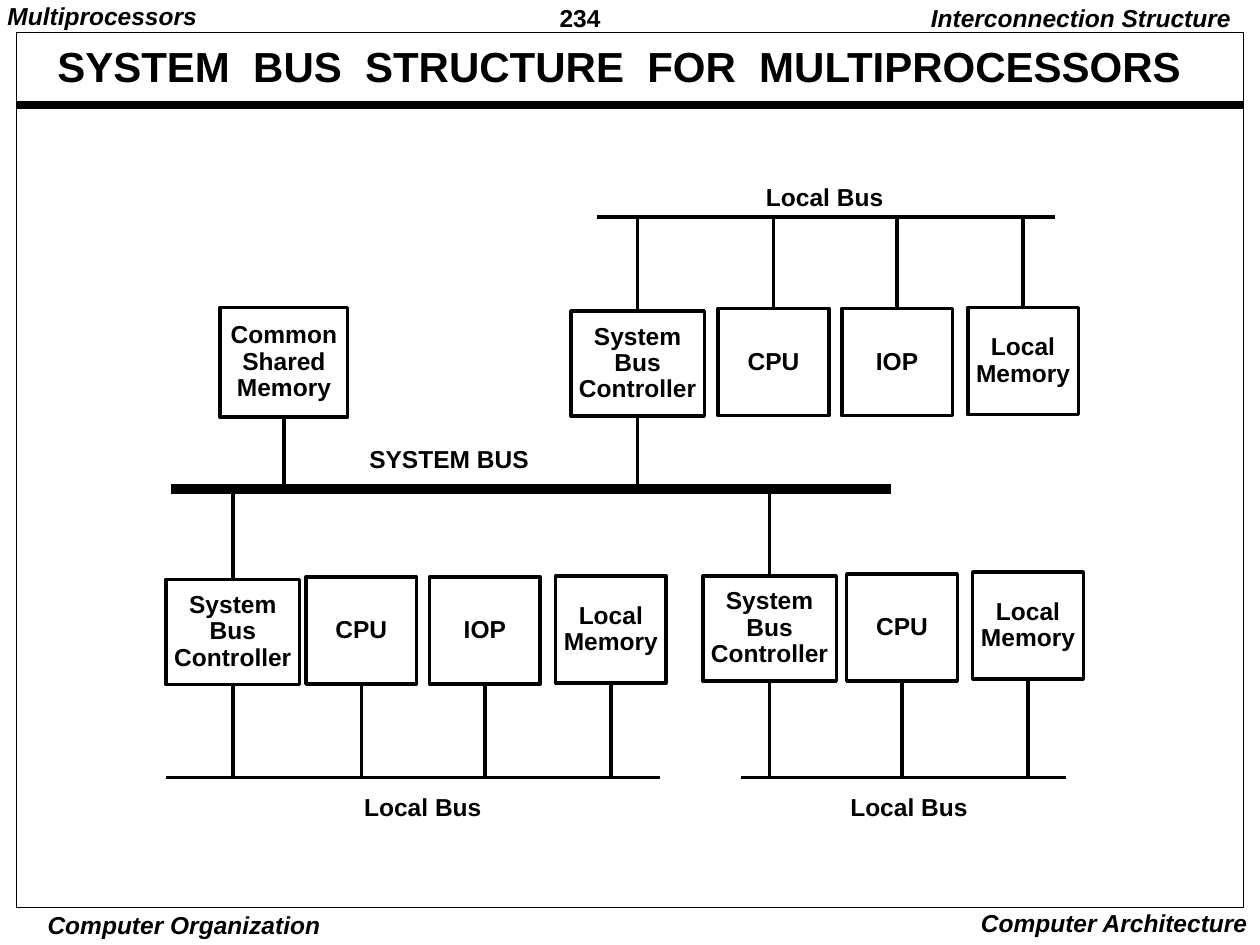
from dataclasses import dataclass

from pptx import Presentation
from pptx.dml.color import RGBColor
from pptx.enum.shapes import MSO_CONNECTOR, MSO_SHAPE
from pptx.enum.text import MSO_ANCHOR, PP_ALIGN
from pptx.oxml.ns import qn
from pptx.util import Cm, Pt

LEFT, MID, RIGHT = PP_ALIGN.LEFT, PP_ALIGN.CENTER, PP_ALIGN.RIGHT
MIDDLE = MSO_ANCHOR.MIDDLE
RECT = MSO_SHAPE.RECTANGLE
LINE = MSO_CONNECTOR.STRAIGHT
TOP, BOTTOM = 0, 2


@dataclass(frozen=True)
class Theme:
    font: str = "Arial"
    ink: RGBColor = RGBColor(0, 0, 0)
    title: float = 24
    text: float = 14
    thin: float = 0.5
    wire: float = 2
    rule: float = 4.5
    bus: float = 6
    lead: float = 0.9


THEME = Theme()
PAD = {LEFT: 0.18, MID: 0, RIGHT: 0.25}

TITLE = "SYSTEM  BUS  STRUCTURE  FOR  MULTIPROCESSORS"
MARGINS = [
    ("Multiprocessors", -0.03, 0, 4.4, 0.69, LEFT, True),
    ("234", 11.1, 0, 2.74, 0.79, LEFT, False),
    ("Interconnection Structure", 18.07, 0, 7, 0.79, RIGHT, True),
    ("Computer Organization", 0.79, 18.34, 5.84, 0.66, MID, True),
    ("Computer Architecture", 19.4, 18.21, 6, 0.84, RIGHT, True),
]
LABELS = [
    ("Local Bus", 15.19, 3.61, 2.87),
    ("SYSTEM BUS", 7.19, 8.89, 3.73),
    ("Local Bus", 7.09, 15.9, 2.87),
    ("Local Bus", 16.89, 15.9, 2.87),
]

SHARED = "Common\nShared\nMemory"
CONTROL = "System\nBus\nController"
LOCAL = "Local\nMemory"
SIZES = {
    SHARED: (2.57, 2.21),
    CONTROL: (2.69, 2.12),
    "CPU": (2.23, 2.16),
    "IOP": (2.23, 2.16),
    LOCAL: (2.23, 2.16),
}

SYSTEM = (3.45, 17.96, 9.86)
GROUPS = [
    {
        "bus": (12.04, 21.26, 4.37),
        "side": TOP,
        "units": [(CONTROL, 11.51, 6.27), ("CPU", 14.48, 6.22),
                  ("IOP", 16.97, 6.22), (LOCAL, 19.51, 6.2)],
    },
    {
        "bus": (3.35, 13.31, 15.67),
        "side": BOTTOM,
        "units": [(CONTROL, 3.35, 11.68), ("CPU", 6.17, 11.63),
                  ("IOP", 8.66, 11.63), (LOCAL, 11.2, 11.61)],
    },
    {
        "bus": (14.94, 21.49, 15.67),
        "side": BOTTOM,
        "units": [(CONTROL, 14.17, 11.61), ("CPU", 17.07, 11.57),
                  (LOCAL, 19.61, 11.53)],
    },
]


def write(shape, text, size=THEME.text, align=MID, slant=False, wrap=False):
    frame = shape.text_frame
    frame.text = text
    frame.word_wrap = wrap
    frame.vertical_anchor = MIDDLE
    frame.margin_left = frame.margin_right = Cm(PAD[align])
    frame.margin_top = frame.margin_bottom = 0
    for para in frame.paragraphs:
        para.alignment = align
        para.line_spacing = THEME.lead
        para.space_before = Pt(0)
        font = para.font
        font.name, font.size = THEME.font, Pt(size)
        font.bold, font.italic = True, slant
        font.color.rgb = THEME.ink


def label(slide, text, x, y, w, h=0.79, align=MID, slant=False):
    box = slide.shapes.add_textbox(Cm(x), Cm(y), Cm(w), Cm(h))
    write(box, text, align=align, slant=slant)


def block(slide, x, y, w, h, width):
    box = slide.shapes.add_shape(RECT, Cm(x), Cm(y), Cm(w), Cm(h))
    box.shadow.inherit = False
    box.fill.background()
    box.line.color.rgb = THEME.ink
    box.line.width = Pt(width)
    return box


def unit(slide, text, x, y):
    box = block(slide, x, y, *SIZES[text], THEME.wire)
    write(box, text)
    return box


def stroke(slide, x1, y1, x2, y2, width):
    line = slide.shapes.add_connector(LINE, x1, y1, x2, y2)
    line.line.color.rgb = THEME.ink
    line.line.width = Pt(width)
    props = line._element.spPr
    props.append(props.makeelement(qn("a:effectLst"), {}))
    return line


def bus(slide, start, end, y, width):
    stroke(slide, Cm(start), Cm(y), Cm(end), Cm(y), width)


def tap(slide, box, side, y):
    x = box.left + box.width // 2
    edge = box.top if side == TOP else box.top + box.height
    line = stroke(slide, x, edge, x, Cm(y), THEME.wire)
    line.begin_connect(box, side)


def main():
    deck = Presentation()
    deck.slide_width, deck.slide_height = Cm(25.4), Cm(19.05)
    slide = deck.slides.add_slide(deck.slide_layouts[5])

    head = slide.shapes.title
    head.left, head.top, head.width, head.height = Cm(0), Cm(0.48), Cm(24.97), Cm(1.8)
    write(head, TITLE, THEME.title, wrap=True)

    block(slide, 0.33, 0.66, 24.74, 17.63, THEME.thin)
    bus(slide, 0.33, 25.07, 2.11, THEME.rule)
    for item in MARGINS + LABELS:
        label(slide, *item)

    bus(slide, *SYSTEM, THEME.bus)
    tap(slide, unit(slide, SHARED, 4.44, 6.2), BOTTOM, SYSTEM[2])
    for group in GROUPS:
        bus(slide, *group["bus"], THEME.wire)
        side = group["side"]
        for text, x, y in group["units"]:
            box = unit(slide, text, x, y)
            tap(slide, box, side, group["bus"][2])
            if text == CONTROL:
                tap(slide, box, BOTTOM if side == TOP else TOP, SYSTEM[2])

    deck.save("out.pptx")


if __name__ == "__main__":
    main()
